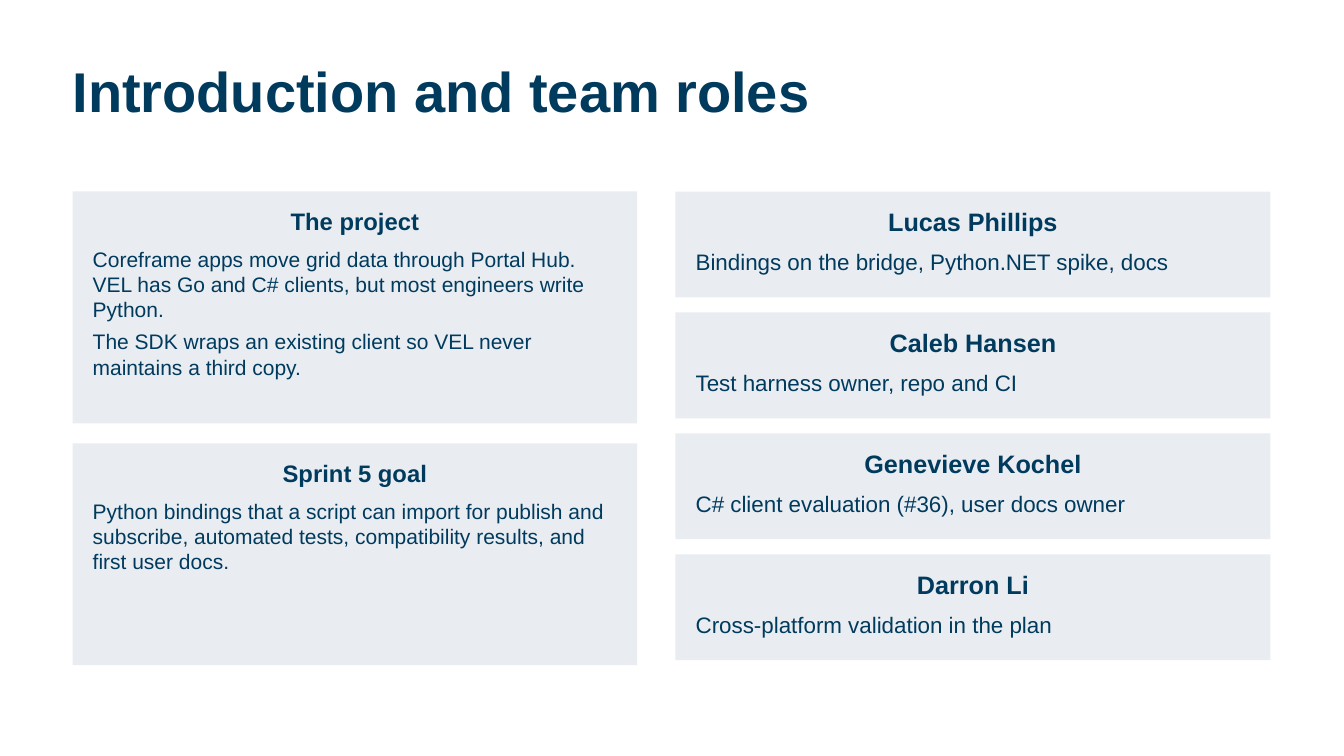
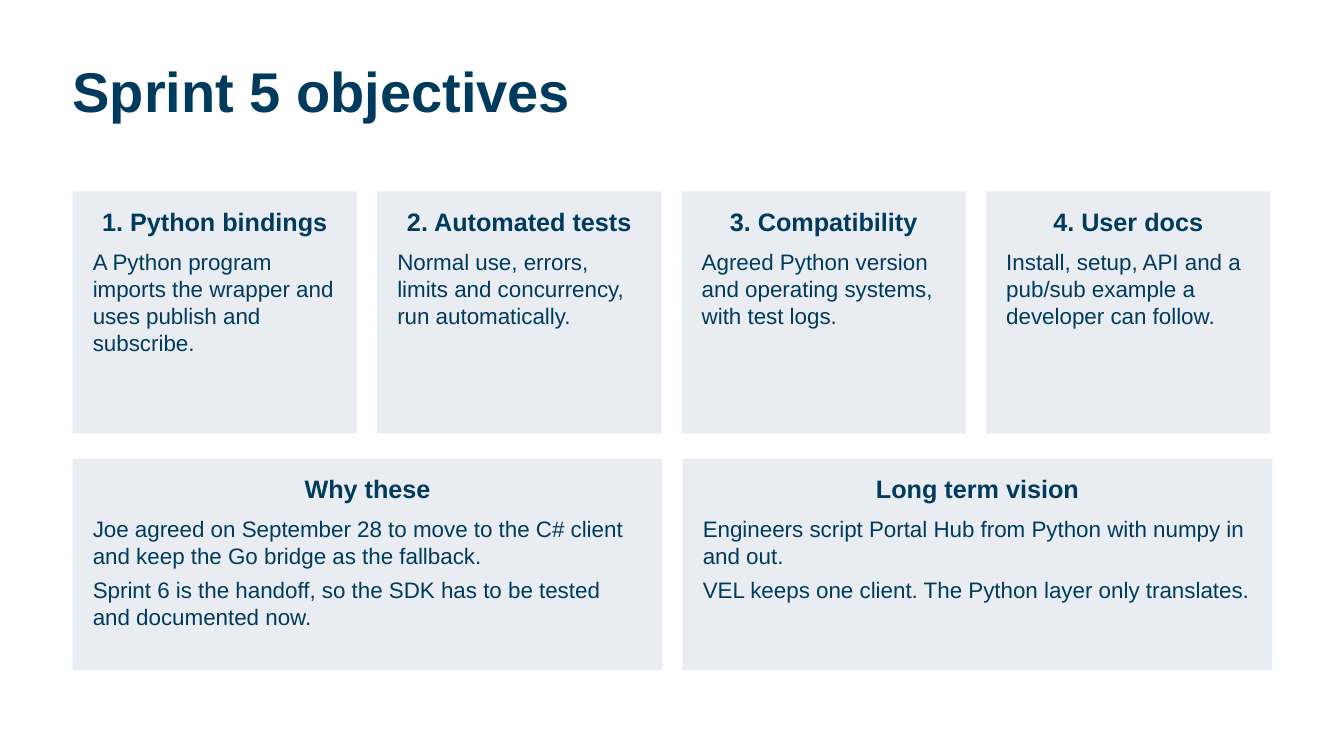
import pptx
import pptx.util
import pptx.dml.color
import pptx.enum.shapes
import pptx.enum.text

Inches = pptx.util.Inches
Pt = pptx.util.Pt
ALIGN = pptx.enum.text.PP_ALIGN

NAVY = pptx.dml.color.RGBColor(0x00, 0x3A, 0x5D)
MIST = pptx.dml.color.RGBColor(0xE9, 0xED, 0xF2)
FONT = "Arial"
LEFT = 0.72
TOP = 1.9
TITLE_SIZE = 40

# Each group is a grid of equal cards: the first card's place, the step
# to the next one, the text sizes, and the cards as (heading, paragraphs).
SLIDES = [
    ("Introduction and team roles", [
        {"at": (LEFT, TOP, 5.6, 2.3), "step": (0, 0), "sizes": (17, 15), "cards": [
            ("The project", [
                "Coreframe apps move grid data through Portal Hub. VEL has Go and C# "
                "clients, but most engineers write Python.",
                "The SDK wraps an existing client so VEL never maintains a third copy.",
            ]),
        ]},
        {"at": (LEFT, 4.4, 5.6, 2.2), "step": (0, 0), "sizes": (17, 15), "cards": [
            ("Sprint 5 goal", [
                "Python bindings that a script can import for publish and subscribe, "
                "automated tests, compatibility results, and first user docs.",
            ]),
        ]},
        {"at": (6.7, TOP, 5.9, 1.05), "step": (0, 1.2), "sizes": (18, 16), "cards": [
            ("Lucas Phillips", ["Bindings on the bridge, Python.NET spike, docs"]),
            ("Caleb Hansen", ["Test harness owner, repo and CI"]),
            ("Genevieve Kochel", ["C# client evaluation (#36), user docs owner"]),
            ("Darron Li", ["Cross-platform validation in the plan"]),
        ]},
    ]),
    ("Sprint 5 objectives", [
        {"at": (LEFT, TOP, 2.82, 2.4), "step": (3.02, 0), "sizes": (18, 16), "cards": [
            ("1. Python bindings", [
                "A Python program imports the wrapper and uses publish and subscribe."]),
            ("2. Automated tests", [
                "Normal use, errors, limits and concurrency, run automatically."]),
            ("3. Compatibility", [
                "Agreed Python version and operating systems, with test logs."]),
            ("4. User docs", [
                "Install, setup, API and a pub/sub example a developer can follow."]),
        ]},
        {"at": (LEFT, 4.55, 5.85, 2.1), "step": (6.05, 0), "sizes": (18, 16), "cards": [
            ("Why these", [
                "Joe agreed on September 28 to move to the C# client and keep the Go "
                "bridge as the fallback.",
                "Sprint 6 is the handoff, so the SDK has to be tested and documented now.",
            ]),
            ("Long term vision", [
                "Engineers script Portal Hub from Python with numpy in and out.",
                "VEL keeps one client. The Python layer only translates.",
            ]),
        ]},
    ]),
]


def set_all(target, values):
    for name, value in values.items():
        setattr(target, name, value)


def format_frame(frame, left, top, right, bottom):
    """Set the insets in inches, with wrapped text from the top at fixed size."""
    set_all(frame, {
        "margin_left": Inches(left), "margin_top": Inches(top),
        "margin_right": Inches(right), "margin_bottom": Inches(bottom),
        "word_wrap": True,
        "auto_size": pptx.enum.text.MSO_AUTO_SIZE.NONE,
        "vertical_anchor": pptx.enum.text.MSO_ANCHOR.TOP,
    })


def write_paragraph(paragraph, text, size, bold, **spacing):
    paragraph.text = text
    set_all(paragraph, spacing)
    set_all(paragraph.font, {"name": FONT, "size": Pt(size), "bold": bold})
    paragraph.font.color.rgb = NAVY


def set_title(slide, text):
    title = slide.shapes.title
    set_all(title, {"left": Inches(LEFT), "top": Inches(0.64),
                    "width": Inches(11.89), "height": Inches(1.21)})
    format_frame(title.text_frame, 0, 0, 0, 0)
    write_paragraph(title.text_frame.paragraphs[0], text, TITLE_SIZE, True,
                    alignment=ALIGN.LEFT, line_spacing=0.9)


def add_card(slide, place, heading, body, sizes):
    card = slide.shapes.add_shape(pptx.enum.shapes.MSO_SHAPE.RECTANGLE,
                                  *map(Inches, place))
    card.shadow.inherit = False
    card.fill.solid()
    card.fill.fore_color.rgb = MIST
    card.line.fill.background()
    frame = card.text_frame
    format_frame(frame, 0.2, 0.15, 0.2, 0.05)
    heading_size, body_size = sizes
    write_paragraph(frame.paragraphs[0], heading, heading_size, True,
                    alignment=ALIGN.CENTER, space_after=Pt(8))
    for text in body:
        write_paragraph(frame.add_paragraph(), text, body_size, False,
                        alignment=ALIGN.LEFT, space_after=Pt(5))


def main():
    deck = pptx.Presentation()
    deck.slide_width = Inches(13.33)
    deck.slide_height = Inches(7.5)
    title_only = deck.slide_layouts[5]
    for title, groups in SLIDES:
        slide = deck.slides.add_slide(title_only)
        set_title(slide, title)
        for group in groups:
            left, top, width, height = group["at"]
            step_x, step_y = group["step"]
            for i, (heading, body) in enumerate(group["cards"]):
                place = (left + i * step_x, top + i * step_y, width, height)
                add_card(slide, place, heading, body, group["sizes"])
    deck.save("out.pptx")


if __name__ == "__main__":
    main()
